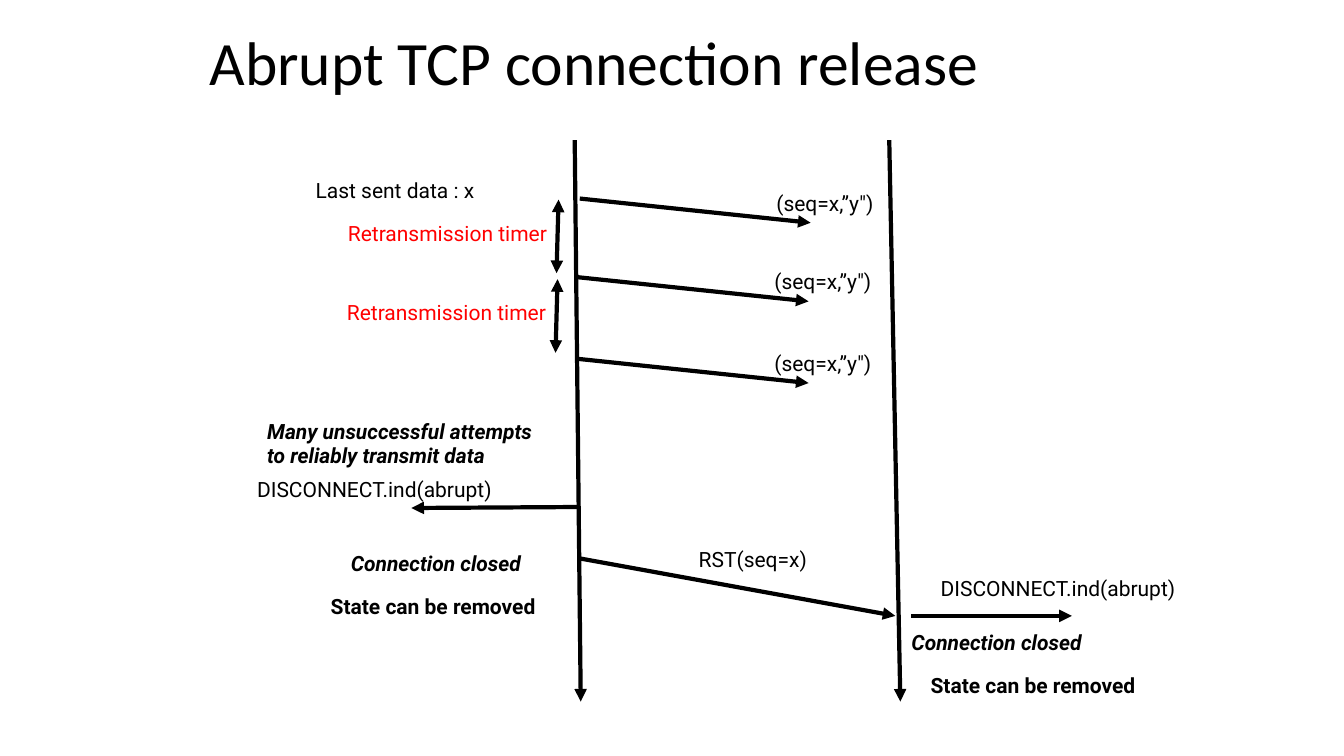
"""Build the slide that shows an abrupt TCP connection release."""
from dataclasses import dataclass

from lxml import etree
from pptx import Presentation
from pptx import util as u
from pptx.dml.color import RGBColor
from pptx.enum import shapes, text
from pptx.oxml import ns
from pptx.slide import Slide

EMU_PER_PX = 9144
COLOURS = {"ink": "000000", "timer": "FF0000"}
PLAIN = {"name": "Roboto", "size": u.Pt(15)}
BOLD = {**PLAIN, "bold": True}
EVENT = {**BOLD, "italic": True}
HEADING = {"name": "Calibri", "size": u.Pt(44)}
MARGINS = ("margin_left", "margin_top", "margin_right", "margin_bottom")


@dataclass(frozen=True)
class Label:
    lines: tuple[str, ...]
    left: int
    top: int
    width: int
    height: int = 22
    font: dict | None = None
    colour: str = "ink"
    spacing: float = 0.84


@dataclass(frozen=True)
class Arrow:
    x1: int
    y1: int
    x2: int
    y2: int
    double: bool = False


def px(length: int) -> u.Emu:
    return u.Emu(length * EMU_PER_PX)


def write_lines(frame: text.MSO_ANCHOR, label: Label) -> None:
    frame.text = "\n".join(label.lines)
    for paragraph in frame.paragraphs:
        paragraph.line_spacing = label.spacing
        font = paragraph.runs[0].font
        font.color.rgb = RGBColor.from_string(COLOURS[label.colour])
        for key, value in (label.font or PLAIN).items():
            setattr(font, key, value)


def draw_label(slide: Slide, label: Label) -> None:
    frame = slide.shapes.add_textbox(
        px(label.left), px(label.top), px(label.width), px(label.height)
    ).text_frame
    layout = {
        "vertical_anchor": text.MSO_ANCHOR.MIDDLE,
        "word_wrap": False,
        "auto_size": text.MSO_AUTO_SIZE.SHAPE_TO_FIT_TEXT,
        **dict.fromkeys(MARGINS, 0),
    }
    for key, value in layout.items():
        setattr(frame, key, value)
    write_lines(frame, label)


def draw_heading(slide: Slide, label: Label) -> None:
    frame = slide.shapes.add_textbox(
        px(label.left), px(label.top), px(label.width), px(label.height)
    ).text_frame
    layout = {"vertical_anchor": text.MSO_ANCHOR.MIDDLE, "word_wrap": True}
    for key, value in layout.items():
        setattr(frame, key, value)
    write_lines(frame, label)


def draw_arrow(slide: Slide, arrow: Arrow) -> None:
    connector = slide.shapes.add_connector(
        shapes.MSO_CONNECTOR.STRAIGHT,
        px(arrow.x1), px(arrow.y1), px(arrow.x2), px(arrow.y2),
    )
    connector.line.width = u.Pt(3)
    connector.line.color.rgb = RGBColor.from_string(COLOURS["ink"])
    outline = connector.line._get_or_add_ln()
    for end in ("a:headEnd", "a:tailEnd") if arrow.double else ("a:tailEnd",):
        etree.SubElement(outline, ns.qn(end), type="triangle")
    etree.SubElement(connector._element.spPr, ns.qn("a:effectLst"))


TITLE = Label(("Abrupt TCP connection release",), 198, 0, 941, 132, HEADING)
HOSTS = [Arrow(570, 139, 576, 696), Arrow(882, 139, 893, 696)]
SEGMENT_STARTS = [(575, 197), (573, 275), (573, 356)]
TIMER_STARTS = [(554, 198), (553, 277)]
SEGMENTS = [Arrow(x, y, x + 229, y + 24) for x, y in SEGMENT_STARTS]
TIMERS = [Arrow(x, y, x - 2, y + 73, double=True) for x, y in TIMER_STARTS]
RESET = Arrow(575, 554, 888, 611)
INDICATIONS = [Arrow(573, 503, 408, 504), Arrow(904, 611, 1063, 611)]

LABELS = [
    Label(("Last sent data : x",), 313, 180, 161),
    *(Label(("(seq=x,”y\")",), x + 195, y - 5, 102) for x, y in SEGMENT_STARTS),
    *(
        Label(("Retransmission timer",), x - 209, y + 24, 198, colour="timer")
        for x, y in TIMER_STARTS
    ),
    Label(
        ("Many unsuccessful attempts", "to reliably transmit data"),
        265, 416, 288, 49, EVENT, spacing=0.97,
    ),
    Label(("RST(seq=x)",), 693, 546, 113),
    *(
        Label(("DISCONNECT.ind(abrupt)",), x, y, 244)
        for x, y in [(255, 476), (933, 574)]
    ),
    *(
        Label(("Connection closed",), x, y, 193, 25, EVENT, spacing=0.97)
        for x, y in [(348, 547), (904, 626)]
    ),
    *(
        Label(("State can be removed",), x, y, 217, font=BOLD)
        for x, y in [(328, 592), (923, 671)]
    ),
]


def main() -> None:
    deck = Presentation()
    deck.slide_width, deck.slide_height = px(1333), px(750)
    slide = deck.slides.add_slide(deck.slide_layouts[6])
    draw_heading(slide, TITLE)
    for arrow in [*HOSTS, *SEGMENTS, *TIMERS, RESET, *INDICATIONS]:
        draw_arrow(slide, arrow)
    for label in LABELS:
        draw_label(slide, label)
    deck.save("out.pptx")


if __name__ == "__main__":
    main()
